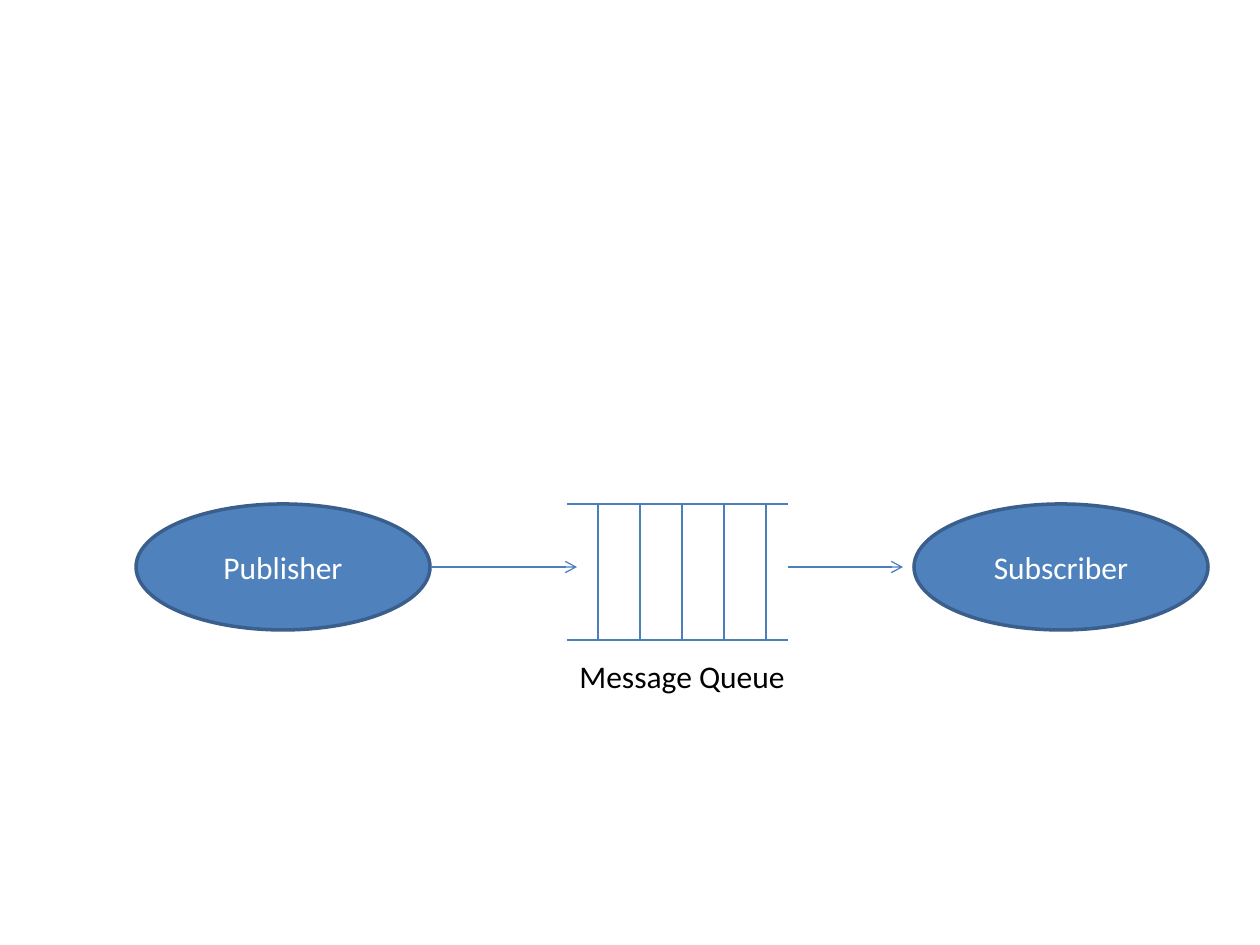
from dataclasses import dataclass

from lxml.etree import SubElement
from pptx import Presentation
from pptx.dml.color import RGBColor
from pptx.enum.shapes import MSO_CONNECTOR as Connector, MSO_SHAPE as Shape
from pptx.enum.text import MSO_ANCHOR as Anchor, MSO_AUTO_SIZE as AutoSize, PP_ALIGN as Align
from pptx.oxml.ns import qn
from pptx.slide import Slide
from pptx.text.text import TextFrame
from pptx.util import Emu, Pt

PX_PER_INCH = 126


@dataclass(frozen=True)
class Theme:
    font: str = "Calibri"
    text_size: float = 18
    outline_width: float = 2
    line_width: float = 0.75
    fill: RGBColor = RGBColor(0x4F, 0x81, 0xBD)
    outline: RGBColor = RGBColor(0x3A, 0x5F, 0x8C)
    line: RGBColor = RGBColor(0x4B, 0x7E, 0xBC)
    light_text: RGBColor = RGBColor(0xFF, 0xFF, 0xFF)
    dark_text: RGBColor = RGBColor(0x00, 0x00, 0x00)


@dataclass(frozen=True)
class Box:
    text: str
    left: int
    top: int
    width: int
    height: int


@dataclass(frozen=True)
class Segment:
    x1: int
    y1: int
    x2: int
    y2: int
    arrow: bool = False


THEME = Theme()
QUEUE_LEFT, QUEUE_RIGHT = 567, 788
QUEUE_TOP, QUEUE_BOTTOM = 504, 640
FIRST_DIVIDER, DIVIDER_GAP, DIVIDER_COUNT = 598, 42, 5
FLOW_Y = 567

ENDPOINTS = [Box("Publisher", 136, 504, 294, 126), Box("Subscriber", 914, 504, 294, 126)]
QUEUE_LABEL = Box("Message Queue", 567, 651, 233, 50)
RAILS = [Segment(QUEUE_LEFT, y, QUEUE_RIGHT, y) for y in (QUEUE_TOP, QUEUE_BOTTOM)]
DIVIDERS = [
    Segment(x, QUEUE_TOP, x, QUEUE_BOTTOM)
    for x in (FIRST_DIVIDER + i * DIVIDER_GAP for i in range(DIVIDER_COUNT))
]
FLOWS = [
    Segment(431, FLOW_Y, 577, FLOW_Y, arrow=True),
    Segment(QUEUE_RIGHT, FLOW_Y, 903, FLOW_Y, arrow=True),
]


def px(*lengths: int) -> list[Emu]:
    return [Emu(round(length * 914400 / PX_PER_INCH)) for length in lengths]


def write(frame: TextFrame, text: str, color: RGBColor, align: Align) -> None:
    paragraph = frame.paragraphs[0]
    paragraph.alignment = align
    run = paragraph.add_run()
    run.text = text
    for name, value in {"name": THEME.font, "size": Pt(THEME.text_size)}.items():
        setattr(run.font, name, value)
    run.font.color.rgb = color


def draw_endpoint(slide: Slide, box: Box) -> None:
    ellipse = slide.shapes.add_shape(Shape.OVAL, *px(box.left, box.top, box.width, box.height))
    ellipse.shadow.inherit = False
    ellipse.fill.solid()
    ellipse.fill.fore_color.rgb = THEME.fill
    ellipse.line.color.rgb = THEME.outline
    ellipse.line.width = Pt(THEME.outline_width)
    ellipse.text_frame.vertical_anchor = Anchor.MIDDLE
    write(ellipse.text_frame, box.text, THEME.light_text, Align.CENTER)


def draw_label(slide: Slide, box: Box) -> None:
    label = slide.shapes.add_textbox(*px(box.left, box.top, box.width, box.height))
    for name, value in {"word_wrap": False, "auto_size": AutoSize.SHAPE_TO_FIT_TEXT}.items():
        setattr(label.text_frame, name, value)
    write(label.text_frame, box.text, THEME.dark_text, Align.LEFT)


def draw_segment(slide: Slide, segment: Segment) -> None:
    connector = slide.shapes.add_connector(
        Connector.STRAIGHT, *px(segment.x1, segment.y1, segment.x2, segment.y2)
    )
    connector.line.color.rgb = THEME.line
    connector.line.width = Pt(THEME.line_width)
    properties = connector._element.spPr
    if segment.arrow:
        SubElement(properties.find(qn("a:ln")), qn("a:tailEnd"), type="arrow")
    SubElement(properties, qn("a:effectLst"))


def main() -> None:
    deck = Presentation()
    deck.slide_width, deck.slide_height = px(1260, 945)
    slide = deck.slides.add_slide(deck.slide_layouts[6])
    for endpoint in ENDPOINTS:
        draw_endpoint(slide, endpoint)
    for segment in RAILS + DIVIDERS + FLOWS:
        draw_segment(slide, segment)
    draw_label(slide, QUEUE_LABEL)
    deck.save("out.pptx")


if __name__ == "__main__":
    main()
